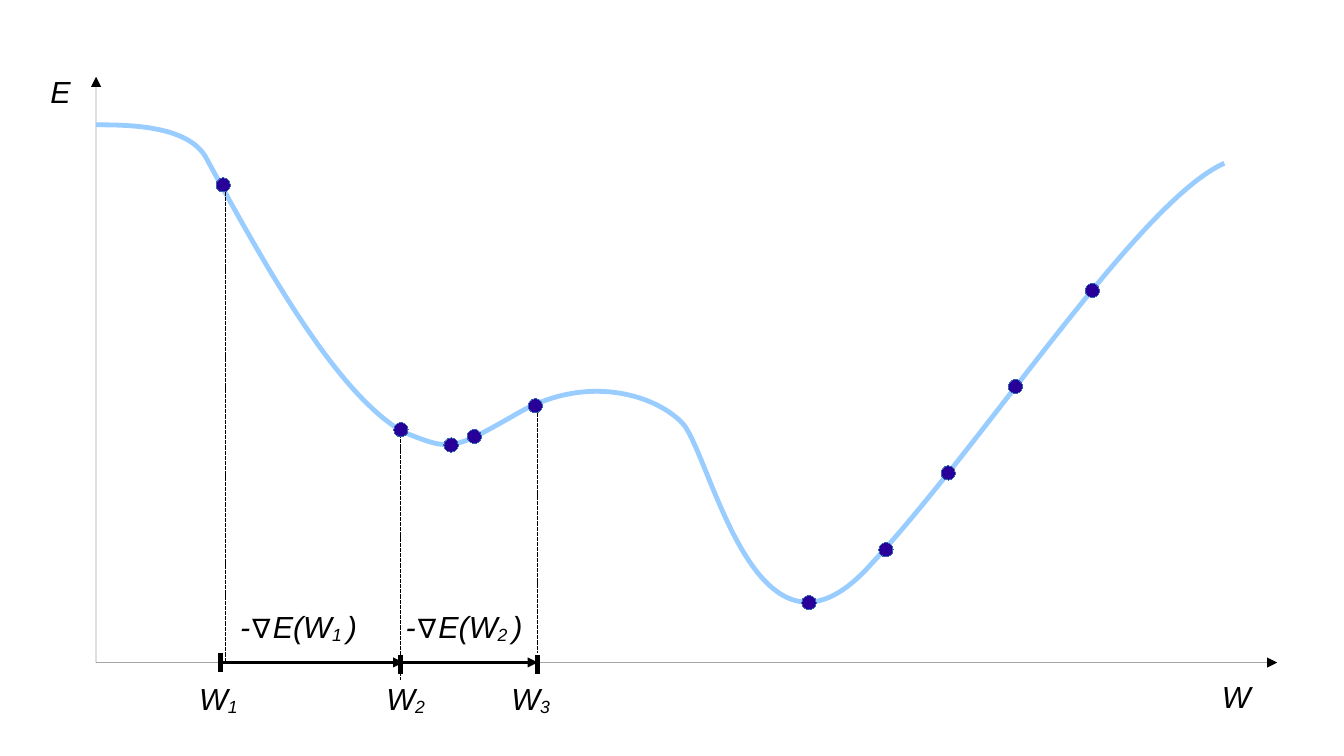
from dataclasses import dataclass

from lxml.etree import SubElement
from pptx import Presentation
from pptx.dml.color import RGBColor
from pptx.enum.shapes import MSO_CONNECTOR, MSO_SHAPE
from pptx.enum.text import MSO_AUTO_SIZE
from pptx.oxml.ns import qn
from pptx.slide import Slide
from pptx.util import Pt

Point = tuple[float, float]


@dataclass(frozen=True)
class Theme:
    font: str = "Arial"
    text_size: float = 18
    ink: RGBColor = RGBColor(0x00, 0x00, 0x00)
    curve: RGBColor = RGBColor(0x99, 0xCC, 0xFF)
    dot: RGBColor = RGBColor(0x28, 0x00, 0x99)
    dot_edge: RGBColor = RGBColor(0x34, 0x65, 0xAF)
    hairline: float = 0.01
    medium: float = 1.42
    thick: float = 2.83


@dataclass(frozen=True)
class Weight:
    """One weight on the axis: its tick, its dashed drop line and its label."""
    index: str
    tick: Point
    drop_start: Point
    drop_end: float
    label_x: float


@dataclass(frozen=True)
class Gradient:
    """A step along the negative gradient, with its label."""
    index: str
    start_x: float
    end_x: float
    label_x: float


@dataclass(frozen=True)
class Piece:
    """A stretch of text with one look."""
    text: str
    italic: bool = True
    subscript: bool = False


THEME = Theme()
ORIGIN: Point = (56.69, 391.18)
AXIS_ENDS: list[Point] = [(754.02, 391.21), (56.72, 45.35)]
TICK_LENGTH = 11.34
DOT_SIZE = 8.5

CURVE_HEIGHT = 282.2
CURVE_START: Point = (56.69, 73.7)
CURVE_SEGMENTS: list[tuple[Point, Point, Point]] = [
    ((77, 73.7), (111.6, 74.2), (121.89, 93.54)),
    ((155.91, 155.91), (198.43, 232.44), (238.11, 255.12)),
    ((266.46, 266.46), (266.46, 266.46), (306.14, 243.78)),
    ((345.83, 221.1), (385.51, 232.44), (402.52, 249.45)),
    ((419.53, 266.46), (445.7, 408.19), (513.07, 334.49)),
    ((581.7, 260.8), (672.3, 119.06), (722.83, 96.38)),
]
DOTS: list[Point] = [
    (236.69, 253.7), (131.81, 109.13), (266.33, 262.73), (316.06, 239.53),
    (644.88, 171.5), (599.53, 228.19), (559.84, 279.21), (522.99, 324.57),
    (477.64, 355.75), (280.01, 257.69),
]
WEIGHTS = [
    Weight("1", (130.39, 385.51), (133.23, 110.55), 391.18, 110.55),
    Weight("2", (236.69, 386.93), (236.69, 256.54), 401.1, 221.1),
    Weight("3", (317.48, 386.93), (317.48, 240.94), 385.51, 294.8),
]
GRADIENTS = [
    Gradient("1", 130.39, 238.11, 134.65),
    Gradient("2", 238.11, 317.48, 232.44),
]


def add_line(slide: Slide, start: Point, end: Point, width: float,
             arrow: bool = False, dashed: bool = False) -> None:
    line = slide.shapes.add_connector(
        MSO_CONNECTOR.STRAIGHT, *(Pt(v) for v in (*start, *end)))
    line.line.color.rgb = THEME.ink
    line.line.width = Pt(width)
    sp_pr = line._element.spPr
    ln = sp_pr.find(qn("a:ln"))
    if dashed:
        dashes = SubElement(ln, qn("a:custDash"))
        SubElement(dashes, qn("a:ds"), d="250000", sp="150000")
    if arrow:
        SubElement(ln, qn("a:tailEnd"), type="triangle")
    SubElement(sp_pr, qn("a:effectLst"))


def add_curve(slide: Slide) -> None:
    """Draw the error curve, bending each straight step into its Bézier segment."""
    builder = slide.shapes.build_freeform(*(Pt(v) for v in CURVE_START))
    builder.add_line_segments(
        [(Pt(x), Pt(y)) for *_, (x, y) in CURVE_SEGMENTS], close=False)
    sp = builder.convert_to_shape()
    sp.height = Pt(CURVE_HEIGHT)
    outline = next(sp._element.iter(qn("a:path")))
    outline.set("h", str(sp.height))
    for step in outline.findall(qn("a:lnTo")):
        outline.remove(step)
    for segment in CURVE_SEGMENTS:
        bend = SubElement(outline, qn("a:cubicBezTo"))
        for x, y in segment:
            SubElement(bend, qn("a:pt"),
                       x=str(Pt(x) - sp.left), y=str(Pt(y) - sp.top))
    sp.shadow.inherit = False
    sp.fill.background()
    sp.line.color.rgb = THEME.curve
    sp.line.width = Pt(THEME.thick)


def add_dot(slide: Slide, center: Point) -> None:
    left, top = (v - DOT_SIZE / 2 for v in center)
    sp = slide.shapes.add_shape(
        MSO_SHAPE.OVAL, Pt(left), Pt(top), Pt(DOT_SIZE), Pt(DOT_SIZE))
    sp.shadow.inherit = False
    sp.fill.solid()
    sp.fill.fore_color.rgb = THEME.dot
    sp.line.color.rgb = THEME.dot_edge
    sp.line.width = Pt(THEME.hairline)


def add_label(slide: Slide, corner: Point, size: Point, pieces: list[Piece]) -> None:
    box = slide.shapes.add_textbox(*(Pt(v) for v in (*corner, *size)))
    tf = box.text_frame
    tf.word_wrap = True
    tf.auto_size = MSO_AUTO_SIZE.SHAPE_TO_FIT_TEXT
    p = tf.paragraphs[0]
    p.font.name = THEME.font
    p.font.size = Pt(THEME.text_size)
    p.font.color.rgb = THEME.ink
    for piece in pieces:
        r = p.add_run()
        r.text = piece.text
        r.font.italic = piece.italic
        if piece.subscript:
            r._r.get_or_add_rPr().set("baseline", "-8000")


def add_weight(slide: Slide, weight: Weight) -> None:
    x, top = weight.tick
    add_line(slide, weight.drop_start, (weight.drop_start[0], weight.drop_end),
             THEME.hairline, dashed=True)
    add_line(slide, weight.tick, (x, top + TICK_LENGTH), THEME.thick)
    add_label(slide, (weight.label_x, 398.27), (45.35, 33.1),
              [Piece("W"), Piece(weight.index, subscript=True)])


def add_gradient(slide: Slide, gradient: Gradient) -> None:
    axis_y = ORIGIN[1]
    add_line(slide, (gradient.start_x, axis_y), (gradient.end_x, axis_y),
             THEME.medium, arrow=True)
    add_label(slide, (gradient.label_x, 355.75), (96.4, 33.1),
              [Piece("-"), Piece("∇", italic=False), Piece("E(W"),
               Piece(f"{gradient.index} ", subscript=True), Piece(")")])


def main() -> None:
    prs = Presentation()
    prs.slide_width, prs.slide_height = Pt(793.44), Pt(446.4)
    slide = prs.slides.add_slide(prs.slide_layouts[6])
    for end in AXIS_ENDS:
        add_line(slide, ORIGIN, end, THEME.hairline, arrow=True)
    add_curve(slide)
    add_label(slide, (714.33, 396.85), (51.02, 27.4), [Piece("W")])
    add_label(slide, (22.68, 39.69), (51.02, 27.4), [Piece("E")])
    for weight in WEIGHTS:
        add_weight(slide, weight)
    for gradient in GRADIENTS:
        add_gradient(slide, gradient)
    for center in DOTS:
        add_dot(slide, center)
    prs.save("out.pptx")


if __name__ == "__main__":
    main()
